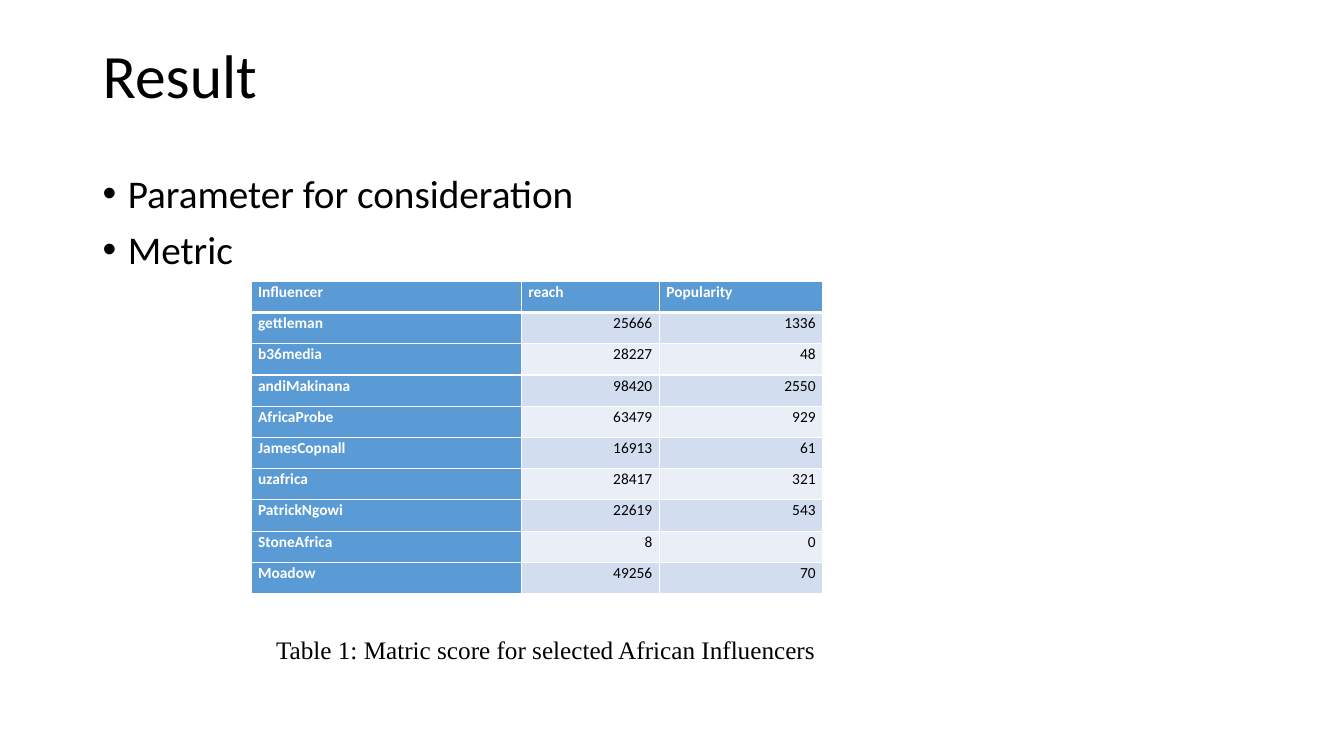
import pptx
import pptx.util
import pptx.dml.color
import pptx.enum.text
import pptx.oxml.ns
from lxml import etree

TITLE = "Result"
POINTS = ["Parameter for consideration", "Metric"]
HEADER = ("Influencer", "reach", "Popularity")
SCORES = [
    ("gettleman", 25666, 1336),
    ("b36media", 28227, 48),
    ("andiMakinana", 98420, 2550),
    ("AfricaProbe", 63479, 929),
    ("JamesCopnall", 16913, 61),
    ("uzafrica", 28417, 321),
    ("PatrickNgowi", 22619, 543),
    ("StoneAfrica", 8, 0),
    ("Moadow", 49256, 70),
]
CAPTION = "Table 1: Matric score for selected African Influencers"

COLORS = {"text": "000000", "light": "FFFFFF", "head": "5B9BD5",
          "odd": "D2DEEF", "even": "EAEFF7"}
BODY_FONT, CAPTION_FONT = "Calibri", "Times New Roman"
COLUMN_WIDTHS = (2.68, 1.37, 1.62)
ROW_HEIGHT = 0.31
MARGIN, CONTENT_WIDTH = 0.92, 11.5

Inches, Pt = pptx.util.Inches, pptx.util.Pt
ALIGN = pptx.enum.text.PP_ALIGN
qn = pptx.oxml.ns.qn


def rgb(name):
    return pptx.dml.color.RGBColor.from_string(COLORS[name])


def style(paragraph, size, color="text", font=BODY_FONT, bold=False, spacing=0.9):
    paragraph.line_spacing = spacing
    for run in paragraph.runs:
        run.font.size = Pt(size)
        run.font.name = font
        run.font.bold = bold
        run.font.color.rgb = rgb(color)


def add_text(slide, left, top, width, height, lines, wrap=True):
    frame = slide.shapes.add_textbox(
        Inches(left), Inches(top), Inches(width), Inches(height)).text_frame
    frame.word_wrap = wrap
    frame.text = "\n".join(lines)
    return frame.paragraphs


def add_bullet(paragraph):
    properties = paragraph._p.get_or_add_pPr()
    properties.set("marL", str(Inches(0.25)))
    properties.set("indent", str(-Inches(0.25)))
    etree.SubElement(properties, qn("a:buFont"), typeface="Arial")
    etree.SubElement(properties, qn("a:buChar"), char="•")


def add_borders(cell, bottom):
    properties = cell._tc.get_or_add_tcPr()
    for side, width in (("L", 1), ("R", 1), ("T", 1), ("B", bottom)):
        line = etree.SubElement(properties, qn("a:ln" + side), w=str(Pt(width)))
        fill = etree.SubElement(line, qn("a:solidFill"))
        etree.SubElement(fill, qn("a:srgbClr"), val=COLORS["light"])


def add_scores(slide, left, top):
    rows = [HEADER] + SCORES
    table = slide.shapes.add_table(
        len(rows), len(HEADER), Inches(left), Inches(top),
        Inches(sum(COLUMN_WIDTHS)), Inches(ROW_HEIGHT * len(rows))).table
    for column, width in zip(table.columns, COLUMN_WIDTHS):
        column.width = Inches(width)
    for r, values in enumerate(rows):
        table.rows[r].height = Inches(ROW_HEIGHT)
        for c, value in enumerate(values):
            cell = table.cell(r, c)
            heading = r == 0 or c == 0
            add_borders(cell, 3 if r == 0 else 1)
            cell.fill.solid()
            cell.fill.fore_color.rgb = rgb("head" if heading else "odd" if r % 2 else "even")
            cell.margin_left = cell.margin_right = Inches(0.07)
            cell.margin_top = cell.margin_bottom = 0
            cell.text = str(value)
            paragraph = cell.text_frame.paragraphs[0]
            paragraph.alignment = ALIGN.LEFT if heading else ALIGN.RIGHT
            style(paragraph, 11, "light" if heading else "text", bold=heading, spacing=1.07)


def main():
    deck = pptx.Presentation()
    deck.slide_width, deck.slide_height = Inches(13.33), Inches(7.5)
    slide = deck.slides.add_slide(deck.slide_layouts[6])

    style(add_text(slide, MARGIN, 0.4, CONTENT_WIDTH, 1.45, [TITLE])[0], 44)
    for point in add_text(slide, MARGIN, 1.68, CONTENT_WIDTH, 4.76, POINTS):
        style(point, 28)
        point.space_before = Pt(10)
        add_bullet(point)
    add_scores(slide, 2.49, 2.79)
    caption = add_text(slide, 2.64, 6.22, 5.6, 0.43, [CAPTION], wrap=False)[0]
    style(caption, 18, font=CAPTION_FONT, spacing=1.07)
    caption.space_after = Pt(8)

    deck.save("out.pptx")


if __name__ == "__main__":
    main()
